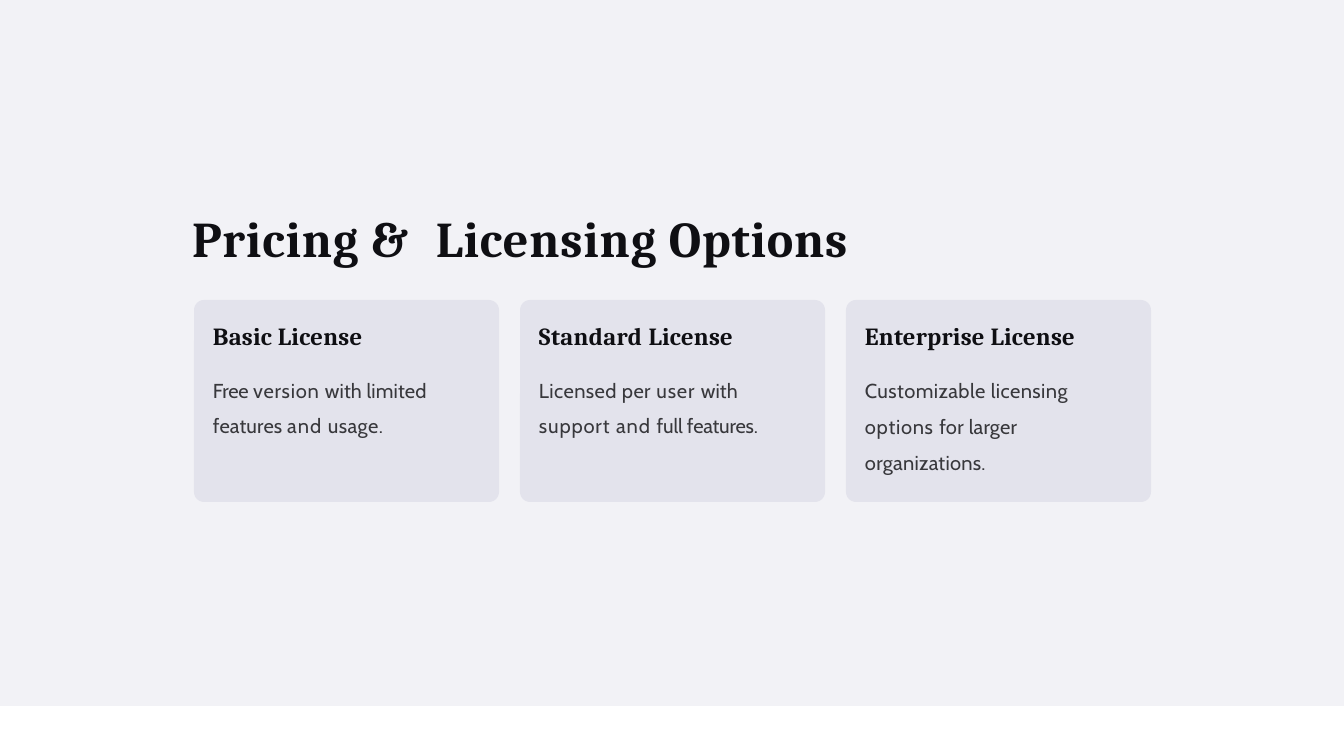
from pptx import Presentation
from pptx.dml.color import RGBColor
from pptx.enum.shapes import MSO_SHAPE as Shape
from pptx.enum.text import MSO_ANCHOR as Anchor, MSO_AUTO_SIZE as AutoSize, PP_ALIGN as Align
from pptx.util import Pt

PX = 914400 / 107.5
COLORS = {"background": "F2F2F6", "card": "E3E3EC", "heading": "0F0F13", "body": "38383C"}

TITLE = {"name": "Cambria", "size": Pt(33.5), "bold": True}
HEADING = {"name": "Cambria", "size": Pt(16.5), "bold": True}
BODY = {"name": "Cabin", "size": Pt(13.5), "bold": False}

# Each run is its text and its letter spacing in hundredths of a point
TITLE_RUNS = [("Pricing ", 60), ("& ", 550), ("Licensing Options", 60)]
CARDS = [
    {"heading": [("Basic License", 20)],
     "body": [("Free ", -10), ("version ", 50), ("with limited features ", 10),
              ("and ", 70), ("usage.", 30)],
     "height": 120, "line_spacing": 1.48, "space_before": Pt(10.7)},
    {"heading": [("Standard ", 30), ("License", 20)],
     "body": [("Licensed per ", 30), ("user ", 60), ("with ", 10), ("support ", 60),
              ("and ", 70), ("full features.", -10)],
     "height": 120, "line_spacing": 1.48, "space_before": Pt(10.7)},
    {"heading": [("Enterprise License", 20)],
     "body": [("Customizable licensing ", 30), ("options ", 50), ("for ", 20),
              ("larger ", 10), ("organizations.", 20)],
     "height": 157, "line_spacing": 1.5, "space_before": Pt(10.3)},
]


def box(*lengths):
    return [round(length * PX) for length in lengths]


def write(paragraph, runs, font, color, layout):
    for key, value in {"alignment": Align.LEFT, **layout}.items():
        setattr(paragraph, key, value)
    paragraph._p.get_or_add_pPr().set("marL", str(round(PX)))
    for text, spacing in runs:
        run = paragraph.add_run()
        run.text = text
        for key, value in font.items():
            setattr(run.font, key, value)
        run.font.color.rgb = RGBColor.from_string(COLORS[color])
        run._r.get_or_add_rPr().set("spc", str(spacing))


presentation = Presentation()
presentation.slide_width, presentation.slide_height = box(1344, 756)
slide = presentation.slides.add_slide(presentation.slide_layouts[5])
shapes = slide.shapes
frame_format = {"word_wrap": True, "auto_size": AutoSize.NONE, "vertical_anchor": Anchor.TOP,
                "margin_left": 0, "margin_top": box(2)[0], "margin_right": 0, "margin_bottom": 0}

# Background panel and cards
panels = [(Shape.RECTANGLE, "background", (0, 0, 1344, 706))]
panels += [(Shape.ROUNDED_RECTANGLE, "card", (194 + 326 * column, 300, 305, 202))
           for column in range(len(CARDS))]
for kind, color, place in panels:
    panel = shapes.add_shape(kind, *box(*place))
    panel.shadow.inherit = False
    panel.fill.solid()
    panel.fill.fore_color.rgb = RGBColor.from_string(COLORS[color])
    panel.line.fill.background()
    if kind == Shape.ROUNDED_RECTANGLE:
        panel.adjustments[0] = 0.05

# Title, raised above the background panel
title = shapes.title
title.left, title.top, title.width, title.height = box(191, 205, 667, 63)
shapes._spTree.append(title._element)
for key, value in frame_format.items():
    setattr(title.text_frame, key, value)
write(title.text_frame.paragraphs[0], TITLE_RUNS, TITLE, "heading", {"space_before": Pt(1.2)})

# Card text
for column, card in enumerate(CARDS):
    frame = shapes.add_textbox(*box(212 + 326 * column, 319, 236, card["height"])).text_frame
    for key, value in frame_format.items():
        setattr(frame, key, value)
    write(frame.paragraphs[0], card["heading"], HEADING, "heading", {"space_before": Pt(1.4)})
    write(frame.add_paragraph(), card["body"], BODY, "body",
          {key: card[key] for key in ("line_spacing", "space_before")})

presentation.save("out.pptx")
